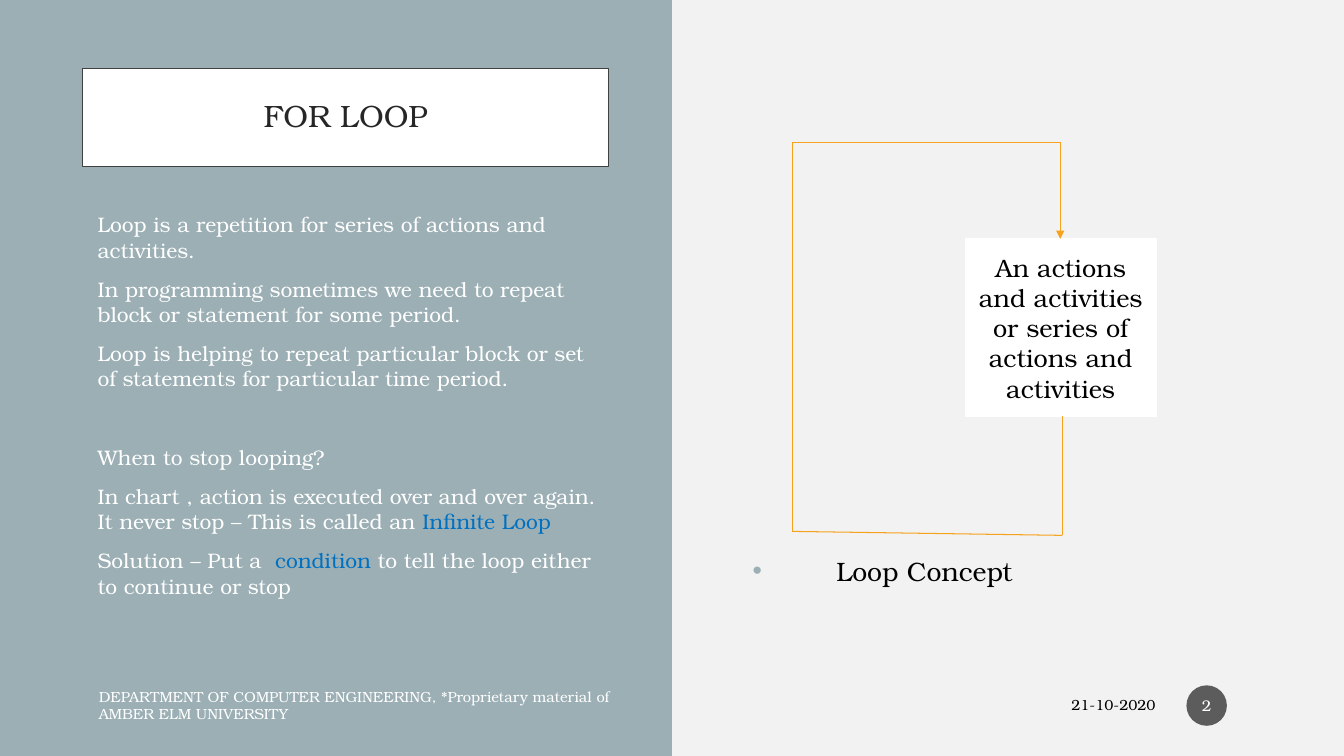
from lxml import etree
from pptx import Presentation, util as u
from pptx.dml.color import RGBColor
from pptx.enum import shapes, text
from pptx.oxml.ns import qn

FONT = "TeX Gyre Bonum"
WHITE, BLACK, BLUE = "FFFFFF", "000000", "0070C0"
SLATE, ORANGE = "9BAFB5", "F6A21D"
LEFT, CENTER, RIGHT = text.PP_ALIGN.LEFT, text.PP_ALIGN.CENTER, text.PP_ALIGN.RIGHT
TOP, MIDDLE = text.MSO_ANCHOR.TOP, text.MSO_ANCHOR.MIDDLE
RECTANGLE, OVAL = shapes.MSO_SHAPE.RECTANGLE, shapes.MSO_SHAPE.OVAL

SLIDE_SIZE = (33.87, 19.05)
PARAGRAPH_GAP, SECTION_GAP = 10, 38

EXPLANATION = [
    (0, [("Loop is a repetition for series of actions and activities.", WHITE)]),
    (PARAGRAPH_GAP, [("In programming sometimes we need to repeat block or statement for some period.", WHITE)]),
    (PARAGRAPH_GAP, [("Loop is helping to repeat particular block or set of statements for particular time period.", WHITE)]),
    (SECTION_GAP, [("When to stop looping?", WHITE)]),
    (PARAGRAPH_GAP, [
        ("In chart , action is executed over and over again. It never stop – This is called an ", WHITE),
        ("Infinite Loop", BLUE)]),
    (PARAGRAPH_GAP, [
        ("Solution – Put a  ", WHITE),
        ("condition ", BLUE),
        ("to tell the loop either to continue or stop", WHITE)]),
]
FOOTER = "DEPARTMENT OF COMPUTER ENGINEERING, *Proprietary material of AMBER ELM UNIVERSITY"
ACTION = "An actions and activities or series of actions and activities"
LOOP_POINTS = [(26.77, 10.49), (26.77, 13.49), (19.96, 13.39),
               (19.96, 3.58), (26.72, 3.58), (26.72, 6.02)]


def color(hex_value):
    return RGBColor.from_string(hex_value)


def lengths(values):
    return [u.Cm(value) for value in values]


def add_block(slide, kind, box, fill, line=None, width=1):
    shape = slide.shapes.add_shape(kind, *lengths(box))
    shape.shadow.inherit = False
    shape.fill.solid()
    shape.fill.fore_color.rgb = color(fill)
    if line:
        shape.line.color.rgb = color(line)
        shape.line.width = u.Pt(width)
    else:
        shape.line.fill.background()
    return shape


def write(shape, paragraphs, size, align=LEFT, anchor=MIDDLE, side=0.25, spacing=1.0):
    frame = shape.text_frame
    frame.word_wrap = True
    frame.vertical_anchor = anchor
    frame.margin_left = frame.margin_right = u.Cm(side)
    frame.margin_top = frame.margin_bottom = u.Cm(0.13)
    for index, (gap, runs) in enumerate(paragraphs):
        paragraph = frame.add_paragraph() if index else frame.paragraphs[0]
        paragraph.alignment = align
        paragraph.line_spacing = spacing
        paragraph.space_before = u.Pt(gap)
        for words, hex_value in runs:
            run = paragraph.add_run()
            run.text = words
            run.font.name = FONT
            run.font.size = u.Pt(size)
            run.font.color.rgb = color(hex_value)


def add_text(slide, box, paragraphs, size, **options):
    shape = slide.shapes.add_textbox(*lengths(box))
    write(shape, paragraphs, size, **options)
    return shape


def single(words, hex_value):
    return [(0, [(words, hex_value)])]


def add_bullet(paragraph, indent, hex_value):
    properties = paragraph._p.get_or_add_pPr()
    properties.set("marL", str(u.Cm(indent)))
    properties.set("indent", str(-u.Cm(indent)))
    bullet_color = etree.SubElement(properties, qn("a:buClr"))
    etree.SubElement(bullet_color, qn("a:srgbClr"), val=hex_value)
    etree.SubElement(properties, qn("a:buFont"), typeface="Arial")
    etree.SubElement(properties, qn("a:buChar"), char="•")


def add_loop(slide, points):
    for start, end in zip(points, points[1:]):
        connector = slide.shapes.add_connector(
            shapes.MSO_CONNECTOR.STRAIGHT, *lengths(start + end))
        connector.line.color.rgb = color(ORANGE)
        connector.line.width = u.Pt(0.75)
        etree.SubElement(connector._element.spPr, qn("a:effectLst"))
    etree.SubElement(connector.line._get_or_add_ln(), qn("a:tailEnd"), type="triangle")


def main():
    presentation = Presentation()
    presentation.slide_width, presentation.slide_height = lengths(SLIDE_SIZE)
    slide = presentation.slides.add_slide(presentation.slide_layouts[6])
    slide.background.fill.solid()
    slide.background.fill.fore_color.rgb = color("F2F2F2")

    add_block(slide, RECTANGLE, (0, 0, SLIDE_SIZE[0] / 2, SLIDE_SIZE[1]), SLATE)
    title = add_block(slide, RECTANGLE, (2.08, 1.73, 13.26, 2.46), WHITE, "404040", 0.75)
    write(title, single("FOR LOOP", "262626"), 22, align=CENTER, side=0.51, spacing=0.9)
    add_text(slide, (2.21, 5.21, 13.26, 12.12), EXPLANATION, 15, anchor=TOP)

    caption = add_text(slide, (18.72, 13.87, 13.39, 1.02), single("Loop Concept", BLACK), 19)
    add_bullet(caption.text_frame.paragraphs[0], 2.11, SLATE)

    add_text(slide, (2.24, 17.32, 14.22, 0.89), single(FOOTER, WHITE), 10.5)
    add_text(slide, (21.72, 17.32, 7.65, 0.89), single("21-10-2020", BLACK), 10.5, align=RIGHT)
    badge = add_block(slide, OVAL, (29.9, 17.27, 1.02, 1.02), "1D1D1D")
    badge_color = badge._element.spPr.find(qn("a:solidFill"))[0]
    etree.SubElement(badge_color, qn("a:alpha"), val="70000")
    write(badge, single("2", WHITE), 11, align=CENTER, side=0.05)

    action = add_block(slide, RECTANGLE, (24.33, 6.02, 4.8, 4.47), WHITE, WHITE)
    write(action, single(ACTION, BLACK), 18, align=CENTER)
    add_loop(slide, LOOP_POINTS)
    presentation.save("out.pptx")


if __name__ == "__main__":
    main()
